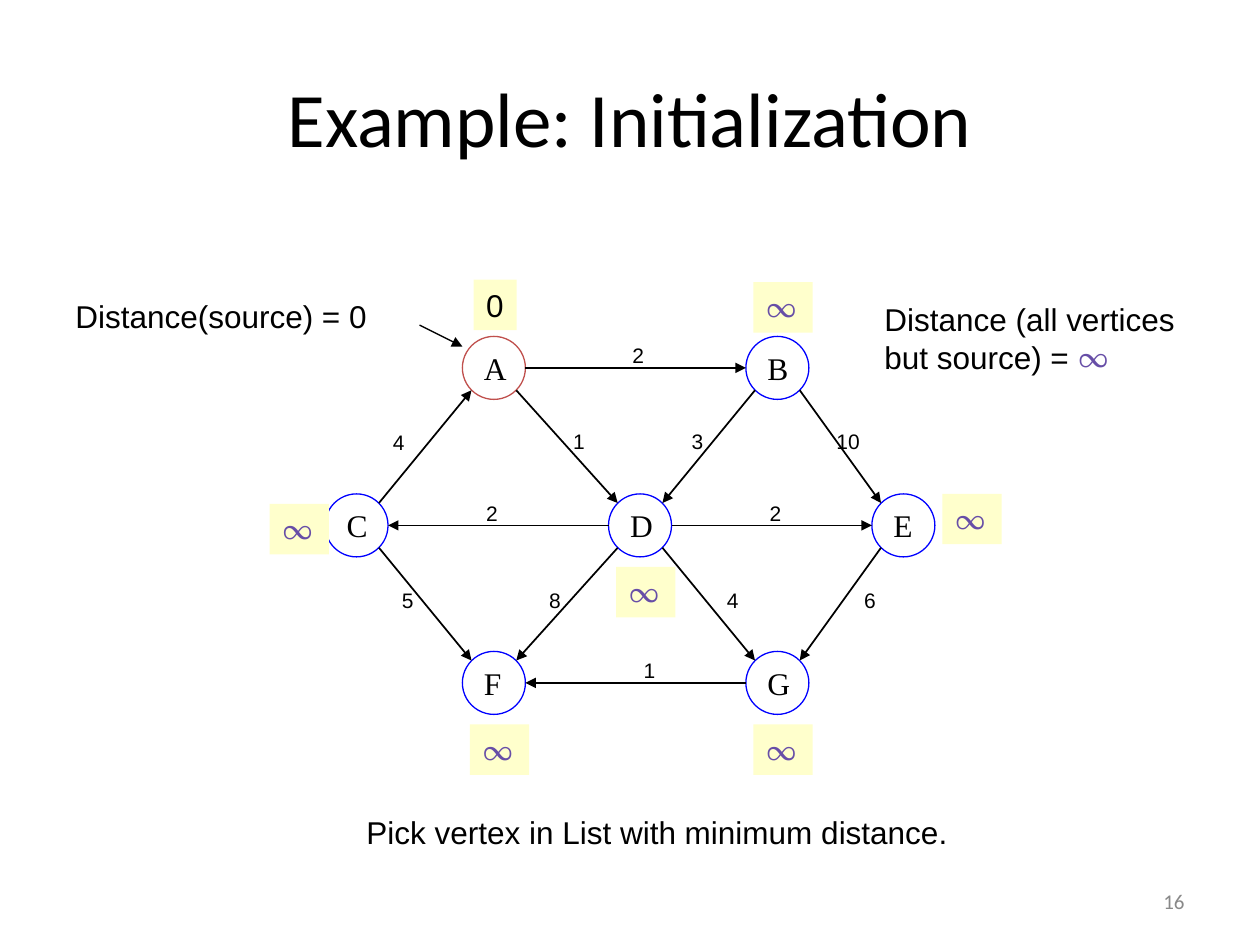
"""Build a slide showing the initial distances of a weighted directed graph."""
from lxml.etree import SubElement
from pptx import Presentation
from pptx.dml.color import RGBColor as RGB
from pptx.enum.shapes import MSO_CONNECTOR as Link, MSO_SHAPE as Shape
from pptx.enum.text import MSO_ANCHOR as Anchor, PP_ALIGN as Align
from pptx.oxml.ns import qn
from pptx.util import Inches, Pt

BLACK = RGB(0x00, 0x00, 0x00)
WHITE = RGB(0xFF, 0xFF, 0xFF)
GREY = RGB(0x89, 0x89, 0x89)
BLUE = RGB(0x00, 0x00, 0xFF)
RED = RGB(0xC0, 0x50, 0x4D)
CREAM = RGB(0xFF, 0xFF, 0xCC)
PURPLE = RGB(0x67, 0x4E, 0xA7)


def write(shape, text, size, name="Arial", color=BLACK, align=Align.LEFT,
          anchor=Anchor.TOP, wrap=False):
    """Set and format the text of a shape."""
    frame = shape.text_frame
    frame.text = text
    frame.word_wrap = wrap
    frame.vertical_anchor = anchor
    para = frame.paragraphs[0]
    para.alignment = align
    for run in para.runs:
        run.font.size = Pt(size)
        run.font.name = name
        run.font.color.rgb = color


def arrow(x1, y1, x2, y2, width):
    """Draw a straight arrow between two points."""
    line = shapes.add_connector(Link.STRAIGHT, Inches(x1), Inches(y1),
                                Inches(x2), Inches(y2))
    line.line.color.rgb = BLACK
    line.line.width = Pt(width)
    SubElement(line.line._get_or_add_ln(), qn("a:tailEnd"), type="triangle")
    SubElement(line._element.spPr, qn("a:effectLst"))


deck = Presentation()
deck.slide_width = Inches(10)
deck.slide_height = Inches(7.5)
slide = deck.slides.add_slide(deck.slide_layouts[5])
shapes = slide.shapes

title = shapes.title
title.left, title.top = Inches(0.5), Inches(0.3)
title.width, title.height = Inches(9), Inches(1.25)
write(title, "Example: Initialization", 44, "Calibri", align=Align.CENTER,
      anchor=Anchor.MIDDLE, wrap=True)

number = shapes.add_textbox(Inches(7.17), Inches(6.95), Inches(2.33), Inches(0.4))
write(number, "16", 12, "Calibri", GREY, Align.RIGHT, Anchor.MIDDLE, True)

radius = 0.25
nodes = {
    "A": (3.92, 2.92), "B": (6.17, 2.92),
    "C": (2.83, 4.17), "D": (5.08, 4.17), "E": (7.17, 4.17),
    "F": (3.92, 5.42), "G": (6.17, 5.42),
}
for name, (x, y) in nodes.items():
    node = shapes.add_shape(Shape.OVAL, Inches(x - radius), Inches(y - radius),
                            Inches(2 * radius), Inches(2 * radius))
    node.shadow.inherit = False
    node.fill.solid()
    node.fill.fore_color.rgb = WHITE
    node.line.color.rgb = RED if name == "A" else BLUE
    node.line.width = Pt(0.75)
    write(node, name, 18, "Times New Roman", anchor=Anchor.MIDDLE)

edges = [
    ("A", "B", "2", 4.92, 2.67), ("A", "D", "1", 4.45, 3.35),
    ("B", "D", "3", 5.39, 3.35), ("B", "E", "10", 6.54, 3.35),
    ("C", "A", "4", 3.02, 3.36), ("C", "F", "5", 3.09, 4.61),
    ("D", "C", "2", 3.76, 3.92), ("D", "E", "2", 6.01, 3.92),
    ("D", "F", "8", 4.26, 4.61), ("D", "G", "4", 5.67, 4.61),
    ("E", "G", "6", 6.76, 4.61), ("G", "F", "1", 5.01, 5.17),
]
for start, end, cost, left, top in edges:
    (x1, y1), (x2, y2) = nodes[start], nodes[end]
    gap = radius if y1 == y2 else radius * 0.71
    dx = gap if x2 > x1 else -gap
    dy = 0 if y1 == y2 else gap if y2 > y1 else -gap
    arrow(x1 + dx, y1 + dy, x2 - dx, y2 - dy, 1)
    label = shapes.add_textbox(Inches(left), Inches(top),
                               Inches(0.19 + 0.1 * len(cost)), Inches(0.3))
    write(label, cost, 12, anchor=Anchor.MIDDLE)

tags = [
    ("0", 3.76, 2.22), ("∞", 5.98, 2.24), ("∞", 2.14, 4), ("∞", 7.48, 3.92),
    ("∞", 4.89, 4.5), ("∞", 3.73, 5.75), ("∞", 5.98, 5.75),
]
for value, left, top in tags:
    known = value == "0"
    tag = shapes.add_shape(Shape.RECTANGLE, Inches(left), Inches(top),
                           Inches(0.34 if known else 0.47), Inches(0.4))
    tag.shadow.inherit = False
    tag.fill.solid()
    tag.fill.fore_color.rgb = CREAM
    tag.line.fill.background()
    write(tag, value, 18, "Arial" if known else "Vollkorn",
          BLACK if known else PURPLE)

notes = [
    ("Pick vertex in List with minimum distance.", 2.81, 6.4, 4.81, 0.4, False),
    ("Distance(source) = 0", 0.5, 2.31, 2.7, 0.7, True),
    ("Distance (all vertices but source) = ", 6.92, 2.33, 2.75, 0.7, True),
]
for text, left, top, width, height, wrap in notes:
    note = shapes.add_textbox(Inches(left), Inches(top), Inches(width), Inches(height))
    write(note, text, 18, wrap=wrap)

sign = note.text_frame.paragraphs[0].add_run()
sign.text = "∞"
sign.font.size = Pt(18)
sign.font.name = "Vollkorn"
sign.font.color.rgb = PURPLE

arrow(3.33, 2.58, 3.67, 2.75, 0.75)

deck.save("out.pptx")
